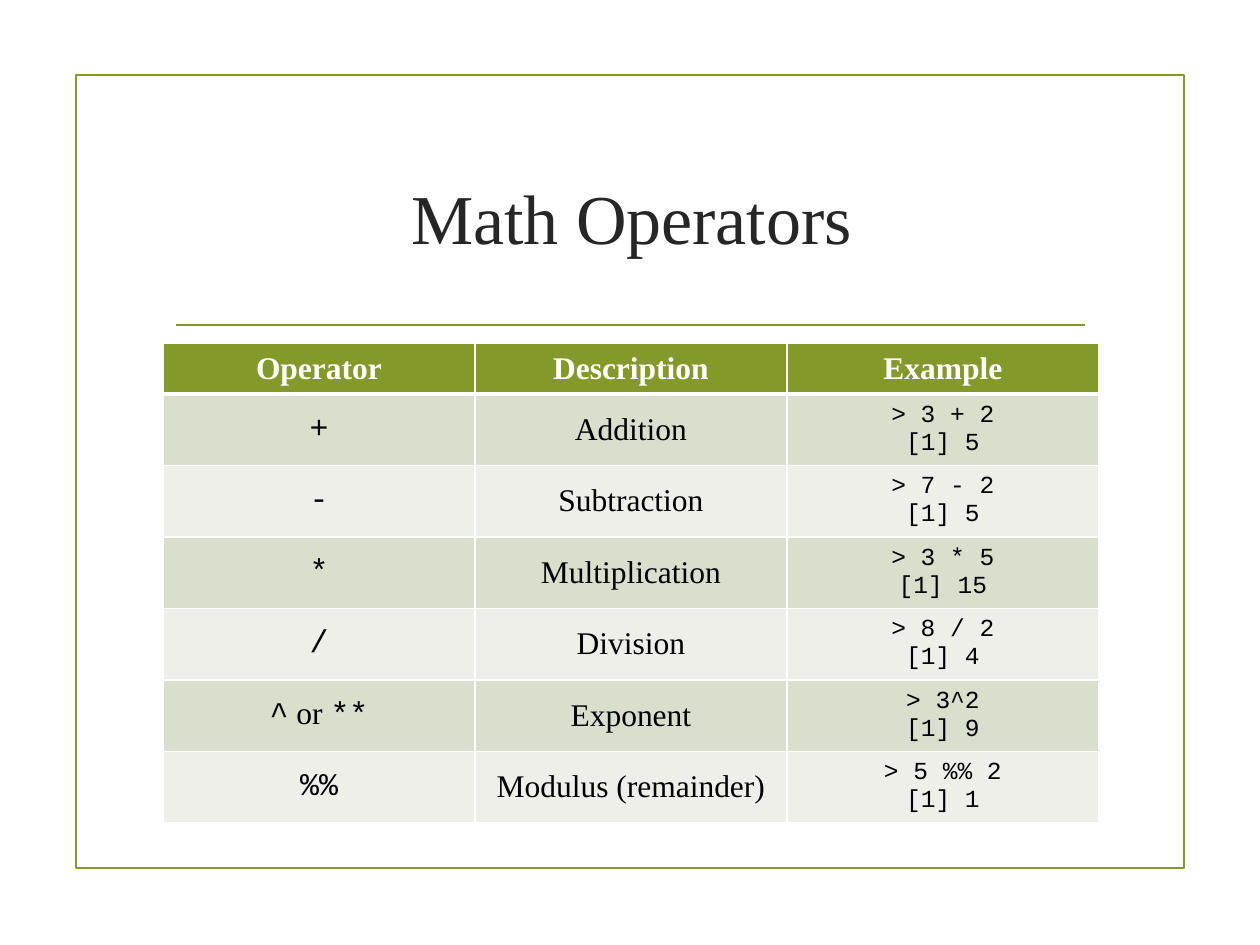
from lxml.etree import SubElement
from pptx import Presentation
from pptx.dml.color import RGBColor
from pptx.enum.shapes import MSO_CONNECTOR, MSO_SHAPE
from pptx.enum.text import MSO_ANCHOR, PP_ALIGN
from pptx.oxml.ns import qn
from pptx.util import Emu, Pt

PX = 914400 / 126
SERIF, MONO = "Times New Roman", "Courier New"
COLORS = {
    "green": "83992A", "title": "262626", "text": "000000",
    "white": "FFFFFF", "band_dark": "D9DECD", "band_light": "EDEFE8",
}
HEADERS = ["Operator", "Description", "Example"]
OPERATORS = [
    ([("+", MONO)], "Addition", ["> 3 + 2", "[1] 5"]),
    ([("-", MONO)], "Subtraction", ["> 7 - 2", "[1] 5"]),
    ([("*", MONO)], "Multiplication", ["> 3 * 5", "[1] 15"]),
    ([("/", MONO)], "Division", ["> 8 / 2", "[1] 4"]),
    ([("^", MONO), (" or ", SERIF), ("**", MONO)], "Exponent", ["> 3^2", "[1] 9"]),
    ([("%%", MONO)], "Modulus (remainder)", ["> 5 %% 2", "[1] 1"]),
]


def px(*lengths):
    return [Emu(round(length * PX)) for length in lengths]


def rgb(name):
    return RGBColor.from_string(COLORS[name])


class SlideBuilder:
    """Holds the slide and its shared line, text and table styles."""

    def __init__(self, slide, line_color="green", line_width=1.25):
        self.slide = slide
        self.line_color = line_color
        self.line_width = line_width

    def style_line(self, line):
        line.color.rgb = rgb(self.line_color)
        line.width = Pt(self.line_width)

    def frame(self, left, top, width, height):
        border = self.slide.shapes.add_shape(
            MSO_SHAPE.RECTANGLE, *px(left, top, width, height))
        border.shadow.inherit = False
        border.fill.background()
        self.style_line(border.line)

    def rule(self, left, right, y):
        divider = self.slide.shapes.add_connector(
            MSO_CONNECTOR.STRAIGHT, *px(left, y, right, y))
        self.style_line(divider.line)
        SubElement(divider._element.spPr, qn("a:effectLst"))

    def fill_text(self, text_frame, lines, size, color, bold=False):
        """Set centred lines, each a list of (text, font name) runs."""
        for index, runs in enumerate(lines):
            paragraph = text_frame.add_paragraph() if index else text_frame.paragraphs[0]
            paragraph.alignment = PP_ALIGN.CENTER
            paragraph.font.size = Pt(size)
            paragraph.font.bold = bold
            paragraph.font.color.rgb = rgb(color)
            if len(runs) == 1:
                paragraph.font.name = runs[0][1]
            for text, font_name in runs:
                run = paragraph.add_run()
                run.text = text
                if len(runs) > 1:
                    run.font.name = font_name

    def title(self, text, left, top, width, height):
        heading = self.slide.shapes.add_textbox(*px(left, top, width, height)).text_frame
        heading.word_wrap = True
        heading.vertical_anchor = MSO_ANCHOR.MIDDLE
        self.fill_text(heading, [[(text, SERIF)]], 40, "title")

    def cell(self, cell, lines, fill, size=18, color="text", bold=False, top=1, bottom=1):
        cell.vertical_anchor = MSO_ANCHOR.MIDDLE
        self.fill_text(cell.text_frame, lines, size, color, bold)
        properties = cell._tc.get_or_add_tcPr()
        for side, width in (("L", 1), ("R", 1), ("T", top), ("B", bottom)):
            edge = SubElement(properties, qn(f"a:ln{side}"), w=str(int(Pt(width))))
            solid = SubElement(edge, qn("a:solidFill"))
            SubElement(solid, qn("a:srgbClr"), val=COLORS["white"])
        cell.fill.solid()
        cell.fill.fore_color.rgb = rgb(fill)

    def operator_table(self, left, top, width, header_height, row_height):
        height = header_height + row_height * len(OPERATORS)
        table = self.slide.shapes.add_table(
            len(OPERATORS) + 1, len(HEADERS), *px(left, top, width, height)).table
        for row in table.rows:
            row.height = px(row_height)[0]
        table.rows[0].height = px(header_height)[0]

        for column, header in enumerate(HEADERS):
            self.cell(table.cell(0, column), [[(header, SERIF)]], "green",
                      color="white", bold=True, bottom=3)
        for row, (symbol, description, example) in enumerate(OPERATORS, start=1):
            band = "band_dark" if row % 2 else "band_light"
            top_edge = 3 if row == 1 else 1
            example_lines = [[(line, MONO)] for line in example]
            contents = ([symbol], 18), ([[(description, SERIF)]], 18), (example_lines, 14)
            for column, (lines, size) in enumerate(contents):
                self.cell(table.cell(row, column), lines, band, size, top=top_edge)


def main():
    presentation = Presentation()
    presentation.slide_width, presentation.slide_height = px(1260, 945)
    builder = SlideBuilder(presentation.slides.add_slide(presentation.slide_layouts[6]))
    builder.frame(76, 75, 1108, 793)
    builder.rule(176, 1085, 325)
    builder.title("Math Operators", 163, 126, 937, 180)
    builder.operator_table(163, 343, 936, 51, 68)
    presentation.save("out.pptx")


if __name__ == "__main__":
    main()
